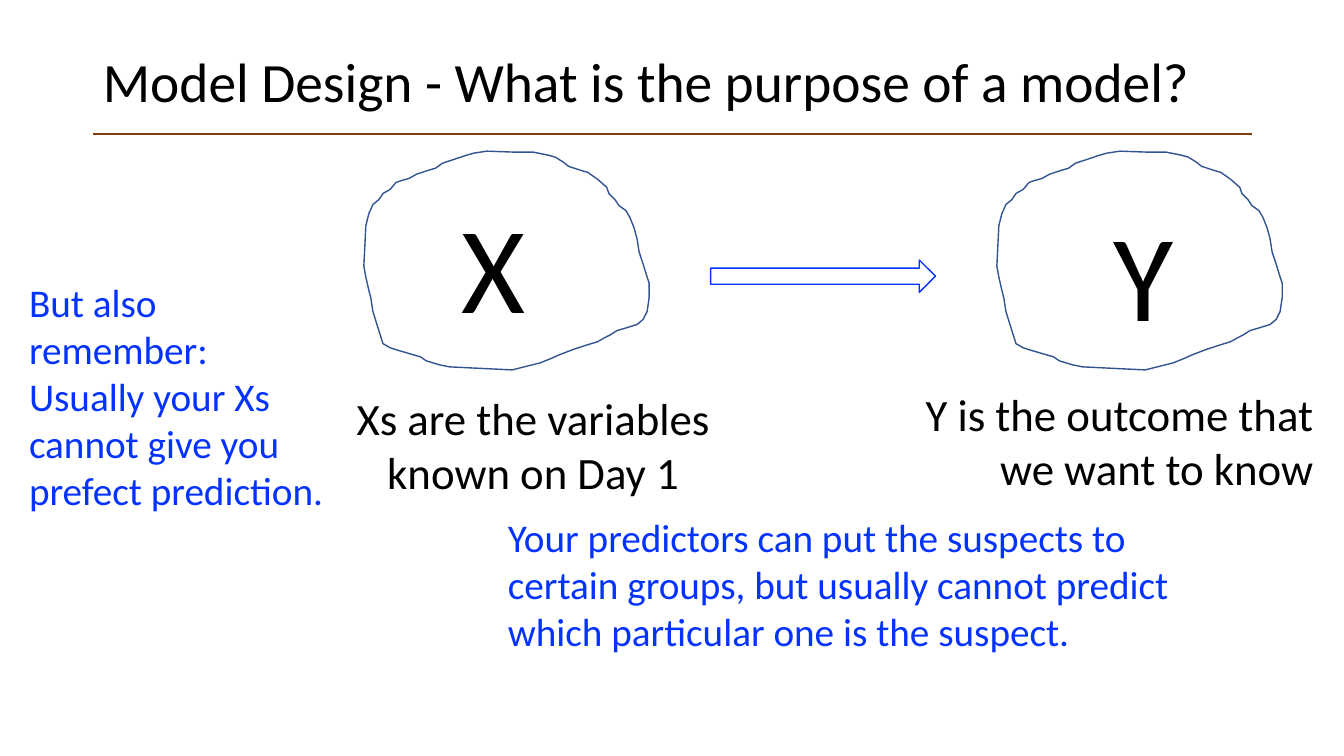
"""Build the slide on the purpose of a model: Xs lead to Y."""
from lxml.etree import SubElement
from pptx import Presentation
from pptx.dml.color import RGBColor
from pptx.enum.shapes import MSO_CONNECTOR, MSO_SHAPE
from pptx.enum.text import MSO_ANCHOR, MSO_AUTO_SIZE, PP_ALIGN as ALIGN
from pptx.oxml.ns import qn
from pptx.util import Inches, Pt

COLORS = {"text": "000000", "accent": "0432FF", "rule": "843C0B",
          "cloud": "325491", "paper": "FFFFFF"}

deck = Presentation()
deck.slide_width, deck.slide_height = Inches(13.33), Inches(7.5)
COL, ROW = deck.slide_width / 40, deck.slide_height / 30
slide = deck.slides.add_slide(deck.slide_layouts[5])


def grid(left, top, width, height):
    """Turn columns and rows into slide lengths."""
    return int(left * COL), int(top * ROW), int(width * COL), int(height * ROW)


def write(frame, lines, size, color, align):
    """Fill a text frame with one paragraph per line."""
    frame.word_wrap = True
    frame.text = "\n".join(lines)
    for paragraph in frame.paragraphs:
        paragraph.alignment = align
        for key, value in {"name": "Calibri", "size": Pt(size)}.items():
            setattr(paragraph.font, key, value)
        paragraph.font.color.rgb = RGBColor.from_string(COLORS[color])


left, top, width, _ = grid(2.76, 5.32, 34.5, 0)
rule = slide.shapes.add_connector(MSO_CONNECTOR.STRAIGHT, left, top, left + width, top)
rule.line.color.rgb = RGBColor.from_string(COLORS["rule"])
rule.line.width = Pt(1)
SubElement(rule.element.spPr, qn("a:effectLst"))

title = slide.shapes.title
title.left, title.top, title.width, title.height = grid(2.76, 1.6, 34.5, 3.48)
write(title.text_frame, ["Model Design - What is the purpose of a model?"],
      39.6, "text", ALIGN.LEFT)
title.text_frame.auto_size = MSO_AUTO_SIZE.NONE
title.text_frame.vertical_anchor = MSO_ANCHOR.MIDDLE
title.text_frame.paragraphs[0].line_spacing = 0.9

cloud_outline = [
    (85, 214), (75, 212), (62, 208), (56, 204), (49, 202), (32, 197), (26, 195),
    (19, 191), (13, 172), (9, 159), (7, 146), (5, 138), (2, 125), (0, 114),
    (2, 74), (5, 62), (9, 53), (15, 48), (19, 42), (26, 38), (32, 31), (38, 29),
    (45, 27), (52, 23), (64, 19), (71, 17), (78, 12), (90, 8), (102, 4), (109, 2),
    (122, 0), (150, 1), (168, 1), (183, 4), (190, 6), (198, 11), (203, 15),
    (215, 19), (222, 21), (232, 28), (241, 36), (243, 42), (249, 48), (253, 54),
    (260, 59), (264, 66), (268, 76), (271, 87), (273, 100), (277, 112),
    (281, 125), (283, 131), (283, 145), (281, 159), (277, 167), (271, 172),
    (258, 176), (251, 178), (245, 182), (239, 185), (232, 189), (219, 193),
    (207, 197), (194, 202), (185, 206), (175, 210), (147, 217)]
for cloud_left in (10.83, 29.67):
    builder = slide.shapes.build_freeform(*cloud_outline[0], scale=Inches(0.01))
    builder.add_line_segments(cloud_outline[1:], close=True)
    cloud = builder.convert_to_shape(*grid(cloud_left, 6, 0, 0)[:2])
    cloud.shadow.inherit = False
    cloud.fill.background()
    cloud.line.color.rgb = RGBColor.from_string(COLORS["cloud"])
    cloud.line.width = Pt(1)

arrow = slide.shapes.add_shape(MSO_SHAPE.RIGHT_ARROW, *grid(21.15, 10.32, 6.69, 1.28))
arrow.shadow.inherit = False
arrow.fill.solid()
arrow.fill.fore_color.rgb = RGBColor.from_string(COLORS["paper"])
arrow.line.color.rgb = RGBColor.from_string(COLORS["accent"])
arrow.line.width = Pt(1)

remarks = [
    ((12.84, 7.36, 3.69, 6.32), ["X"], 88, "text", ALIGN.CENTER),
    ((32.19, 7.68, 3.69, 6.32), ["Y"], 88, "text", ALIGN.CENTER),
    ((9.93, 15.32, 11.88, 4.72), ["Xs are the variables known on Day 1"],
     32, "text", ALIGN.CENTER),
    ((26.04, 15.16, 13.35, 4.72), ["Y is the outcome that we want to know"],
     32, "text", ALIGN.RIGHT),
    ((0.57, 10.84, 9.48, 9.84),
     ["But also remember:", "Usually your Xs cannot give you prefect prediction."],
     28, "accent", ALIGN.LEFT),
    ((14.82, 20.16, 20.94, 6.04),
     ["Your predictors can put the suspects to certain groups, but usually "
      "cannot predict which particular one is the suspect."],
     28, "accent", ALIGN.LEFT),
]
for place, lines, size, color, align in remarks:
    remark = slide.shapes.add_textbox(*grid(*place))
    write(remark.text_frame, lines, size, color, align)
    remark.text_frame.auto_size = MSO_AUTO_SIZE.SHAPE_TO_FIT_TEXT

deck.save("out.pptx")
